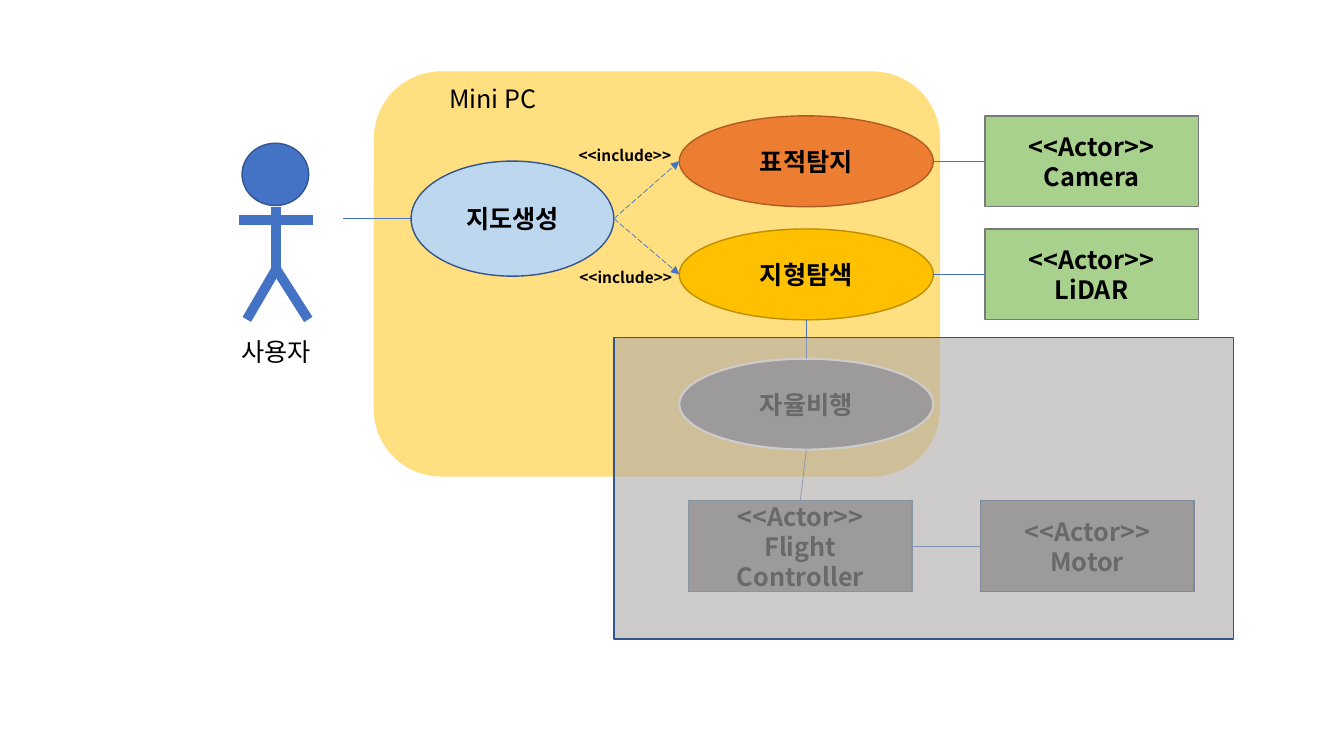
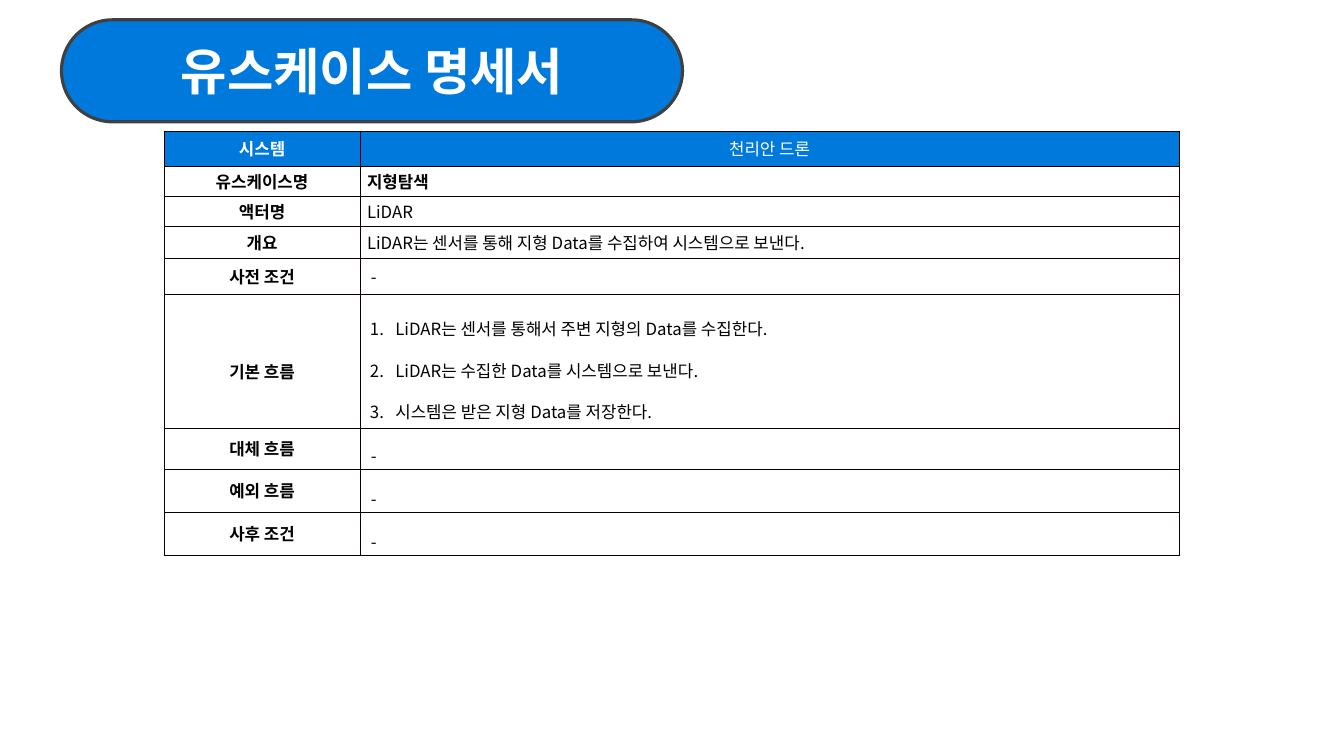
from dataclasses import dataclass

from lxml import etree
from pptx import Presentation
from pptx.dml.color import RGBColor
from pptx.enum import dml, shapes, text
from pptx.oxml import ns
from pptx.util import Cm, Pt


@dataclass(frozen=True)
class Theme:
    font: str = "Noto Sans CJK KR"
    title_size: float = 36
    body_size: float = 18
    table_size: float = 12
    note_size: float = 11
    black: str = "000000"
    white: str = "FFFFFF"
    title_blue: str = "0079DC"
    title_edge: str = "404040"
    grid: str = "0A0000"
    blue: str = "4472C4"
    dark_blue: str = "325491"
    steel: str = "43739E"
    pale_blue: str = "BDD7EE"
    orange: str = "ED7D31"
    dark_orange: str = "AF5C24"
    gold: str = "FFC000"
    dark_gold: str = "BD8E00"
    green: str = "A9D18E"
    green_edge: str = "7A7A7A"
    gray: str = "808080"
    veil: str = "AFABAB"


theme = Theme()
LEFT, CENTER = text.PP_ALIGN.LEFT, text.PP_ALIGN.CENTER
MIDDLE = text.MSO_ANCHOR.MIDDLE
OVAL, RECT = shapes.MSO_SHAPE.OVAL, shapes.MSO_SHAPE.RECTANGLE
ROUNDED = shapes.MSO_SHAPE.ROUNDED_RECTANGLE


def write(frame, lines, size, color=theme.black, bold=False, align=CENTER,
          spacing=None, numbered=False):
    """Fill a text frame with one paragraph per line."""
    frame.word_wrap = True
    for index, line in enumerate(lines):
        paragraph = frame.add_paragraph() if index else frame.paragraphs[0]
        paragraph.text = line
        paragraph.alignment = align
        if spacing:
            paragraph.line_spacing = spacing
        font = paragraph.font
        font.size, font.bold, font.name = Pt(size), bold, theme.font
        font.color.rgb = RGBColor.from_string(color)
        properties = paragraph._p.get_or_add_pPr()
        defaults = properties.find(ns.qn("a:defRPr"))
        east_asian = etree.SubElement(defaults, ns.qn("a:ea"))
        east_asian.set("typeface", theme.font)
        if numbered:
            properties.set("marL", str(Cm(0.64)))
            properties.set("indent", str(-Cm(0.64)))
            bullet = etree.Element(ns.qn("a:buAutoNum"), type="arabicPeriod")
            defaults.addprevious(bullet)


def add_box(slide, kind, place, fill, edge=None, width=1, opacity=None):
    """Add a filled shape; place is left, top, width, height in centimetres."""
    shape = slide.shapes.add_shape(kind, *map(Cm, place))
    shape.shadow.inherit = False
    shape.fill.solid()
    shape.fill.fore_color.rgb = RGBColor.from_string(fill)
    if opacity:
        color = shape._element.spPr.find(".//" + ns.qn("a:srgbClr"))
        etree.SubElement(color, ns.qn("a:alpha"), val=str(opacity * 1000))
    if edge:
        shape.line.color.rgb = RGBColor.from_string(edge)
        shape.line.width = Pt(width)
    else:
        shape.line.fill.background()
    return shape


presentation = Presentation()
presentation.slide_width, presentation.slide_height = Cm(33.87), Cm(19.05)
blank = presentation.slide_layouts[6]

# Use case diagram
slide = presentation.slides.add_slide(blank)
add_box(slide, shapes.MSO_SHAPE.FLOWCHART_CONNECTOR, (6.1, 3.61, 1.68, 1.57),
        theme.blue, theme.dark_blue)
add_box(slide, ROUNDED, (9.42, 1.8, 14.27, 10.21), theme.gold, opacity=50)

case_x, case_w, row_h = 17.12, 6.4, 2.29
actor_x, actor_w = 24.82, 5.38
target_y, terrain_y, flight_y, hardware_y = 2.92, 5.77, 9.04, 12.62
nodes = {
    "map": ("지도생성", OVAL, (10.36, 4.06, 5.11, 2.9), theme.pale_blue, theme.dark_blue, 1),
    "target": ("표적탐지", OVAL, (case_x, target_y, case_w, row_h),
               theme.orange, theme.dark_orange, 1),
    "terrain": ("지형탐색", OVAL, (case_x, terrain_y, case_w, row_h),
                theme.gold, theme.dark_gold, 1),
    "flight": ("자율비행", OVAL, (case_x, flight_y, case_w, row_h), theme.gray, theme.white, 1.5),
    "camera": ("<<Actor>>\vCamera", RECT, (actor_x, target_y, actor_w, row_h),
               theme.green, theme.green_edge, 1),
    "lidar": ("<<Actor>>\vLiDAR", RECT, (actor_x, terrain_y, actor_w, row_h),
              theme.green, theme.green_edge, 1),
    "controller": ("<<Actor>>\vFlight Controller", RECT, (17.35, hardware_y, 5.64, row_h),
                   theme.gray, theme.steel, 1),
    "motor": ("<<Actor>>\vMotor", RECT, (24.71, hardware_y, actor_w, row_h),
              theme.gray, theme.dark_blue, 1),
}
edges = {}
for name, (label, kind, place, fill, edge, width) in nodes.items():
    shape = add_box(slide, kind, place, fill, edge, width)
    shape.text_frame.vertical_anchor = MIDDLE
    write(shape.text_frame, [label], theme.body_size, bold=True)
    x, y, w, h = place
    edges[name] = {"left": (x, y + h / 2), "right": (x + w, y + h / 2),
                   "top": (x + w / 2, y), "bottom": (x + w / 2, y + h)}

neck, hip = (6.96, 5.21), (6.96, 6.78)
limbs = [(neck, hip), (hip, (6.22, 8.05)), (hip, (7.77, 8.05)), ((7.9, 5.54), (6.02, 5.54))]
includes = [(edges["map"]["right"], edges[case]["left"]) for case in ("terrain", "target")]
links = [(edges[a][side_a], edges[b][side_b]) for a, side_a, b, side_b in (
    ("target", "right", "camera", "left"),
    ("terrain", "right", "lidar", "left"),
    ("terrain", "bottom", "flight", "top"),
    ("flight", "bottom", "controller", "top"),
    ("controller", "right", "motor", "left"),
)]
links.append((edges["map"]["left"], (8.64, edges["map"]["left"][1])))
for group, width, is_include in ((limbs, 7, False), (includes, 0.5, True), (links, 0.5, False)):
    for start, end in group:
        connector = slide.shapes.add_connector(
            shapes.MSO_CONNECTOR.STRAIGHT, *map(Cm, start + end))
        connector.line.color.rgb = RGBColor.from_string(theme.blue)
        connector.line.width = Pt(width)
        if is_include:
            connector.line.dash_style = dml.MSO_LINE.LONG_DASH
            etree.SubElement(connector.line._get_or_add_ln(), ns.qn("a:tailEnd"), type="triangle")
        etree.SubElement(connector._element.spPr, ns.qn("a:effectLst"))

for label, place, size, bold, align in (
    ("사용자", (5, 8.36, 3.91, 1.02), theme.body_size, False, CENTER),
    ("Mini PC", (11.07, 1.98, 4.75, 1.02), theme.body_size, False, LEFT),
    ("<<include>>", (14.33, 3.56, 3.81, 0.74), theme.note_size, True, LEFT),
    ("<<include>>", (14.35, 6.63, 3.81, 0.74), theme.note_size, True, LEFT),
):
    frame = slide.shapes.add_textbox(*map(Cm, place)).text_frame
    frame.auto_size = text.MSO_AUTO_SIZE.SHAPE_TO_FIT_TEXT
    write(frame, [label], size, bold=bold, align=align)

add_box(slide, RECT, (15.47, 8.51, 15.62, 7.59), theme.veil, theme.dark_blue, opacity=61)

# Use case specification
slide = presentation.slides.add_slide(blank)
title = add_box(slide, ROUNDED, (1.55, 0.5, 15.65, 2.57), theme.title_blue, theme.title_edge, 2.25)
title.adjustments[0] = 0.5
title.text_frame.vertical_anchor = MIDDLE
write(title.text_frame, ["유스케이스 명세서"], theme.title_size, theme.white, bold=True)

# Heading, content, row height, line spacing of heading and of content
rows = [
    ("시스템", ["천리안 드론"], 0.89, None, None),
    ("유스케이스명", ["지형탐색"], 0.76, None, None),
    ("액터명", ["LiDAR"], 0.76, None, None),
    ("개요", ["LiDAR는 센서를 통해 지형 Data를 수집하여 시스템으로 보낸다."], 0.81, None, None),
    ("사전 조건", [" -"], 0.89, None, None),
    ("기본 흐름", ["LiDAR는 센서를 통해서 주변 지형의 Data를 수집한다.",
               "LiDAR는 수집한 Data를 시스템으로 보낸다.",
               "시스템은 받은 지형 Data를 저장한다."], 2.95, 1.8, 1.7),
    ("대체 흐름", [" -"], 0.79, None, 1.5),
    ("예외 흐름", [" -"], 0.61, None, 1.6),
    ("사후 조건", [" -"], 0.81, None, 1.6),
]
column_widths = (4.93, 20.65)
table = slide.shapes.add_table(
    len(rows), 2, Cm(4.14), Cm(3.3), Cm(sum(column_widths)), Cm(sum(row[2] for row in rows))).table
table.first_row = table.horz_banding = False
for column, width in zip(table.columns, column_widths):
    column.width = Cm(width)
for row_index, (heading, content, height, *spacings) in enumerate(rows):
    table.rows[row_index].height = Cm(height)
    is_header = row_index == 0
    for column_index, lines in enumerate(([heading], content)):
        cell = table.cell(row_index, column_index)
        is_heading = column_index == 0
        is_steps = len(lines) > 1
        if not is_steps:
            cell.vertical_anchor = MIDDLE
            cell.margin_left = cell.margin_right = Cm(0.18)
            cell.margin_top = cell.margin_bottom = Cm(0.05)
        properties = cell._tc.get_or_add_tcPr()
        for side in ("lnL", "lnR", "lnT", "lnB"):
            border = etree.SubElement(properties, ns.qn("a:" + side), w=str(Pt(0.56)))
            fill = etree.SubElement(border, ns.qn("a:solidFill"))
            etree.SubElement(fill, ns.qn("a:srgbClr"), val=theme.grid)
        if is_header:
            cell.fill.solid()
            cell.fill.fore_color.rgb = RGBColor.from_string(theme.title_blue)
        else:
            cell.fill.background()
        write(cell.text_frame, lines, theme.table_size,
              color=theme.white if is_header else theme.black,
              bold=is_heading or row_index == 1,
              align=CENTER if is_heading or is_header else LEFT,
              spacing=spacings[column_index], numbered=is_steps)

presentation.save("out.pptx")
